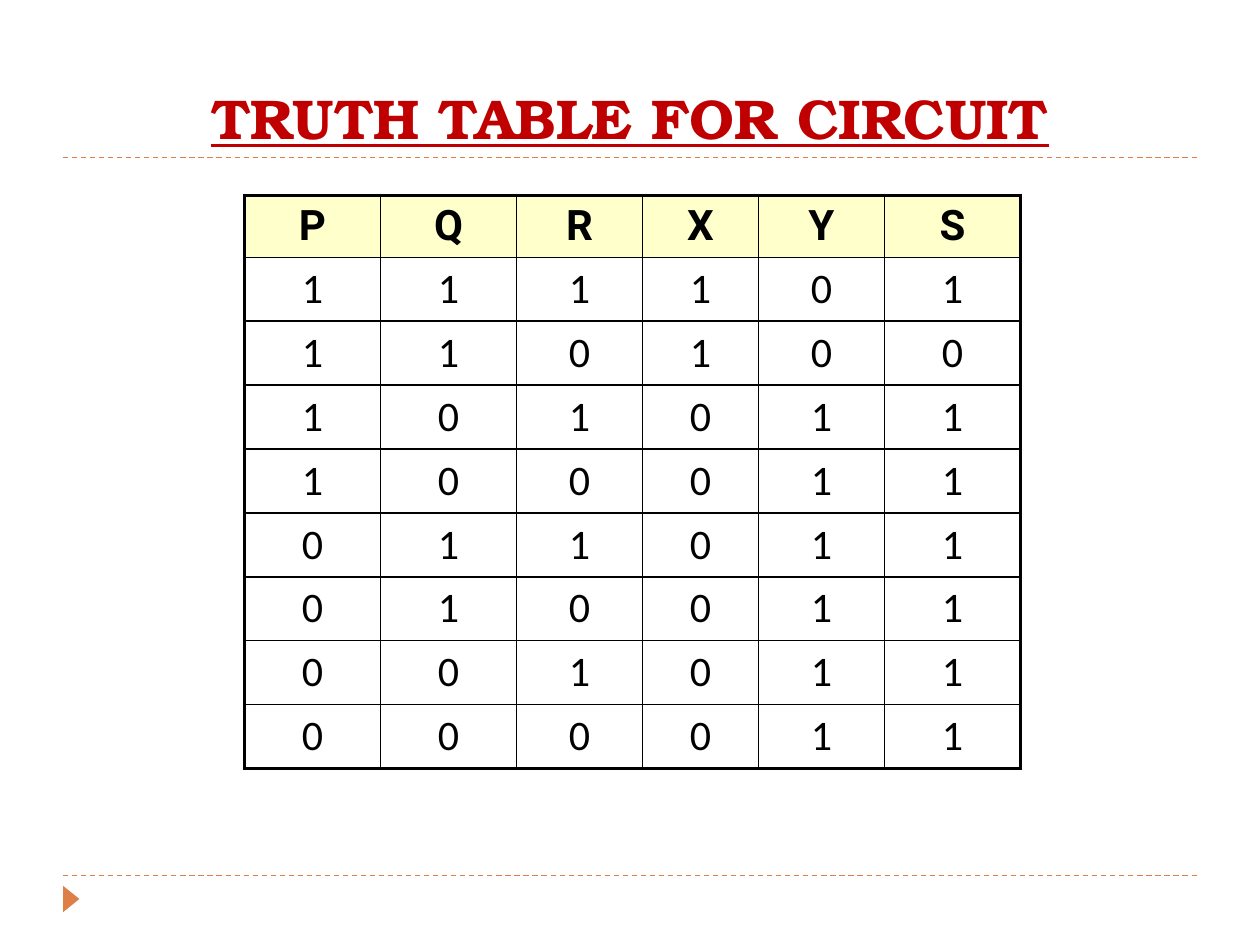
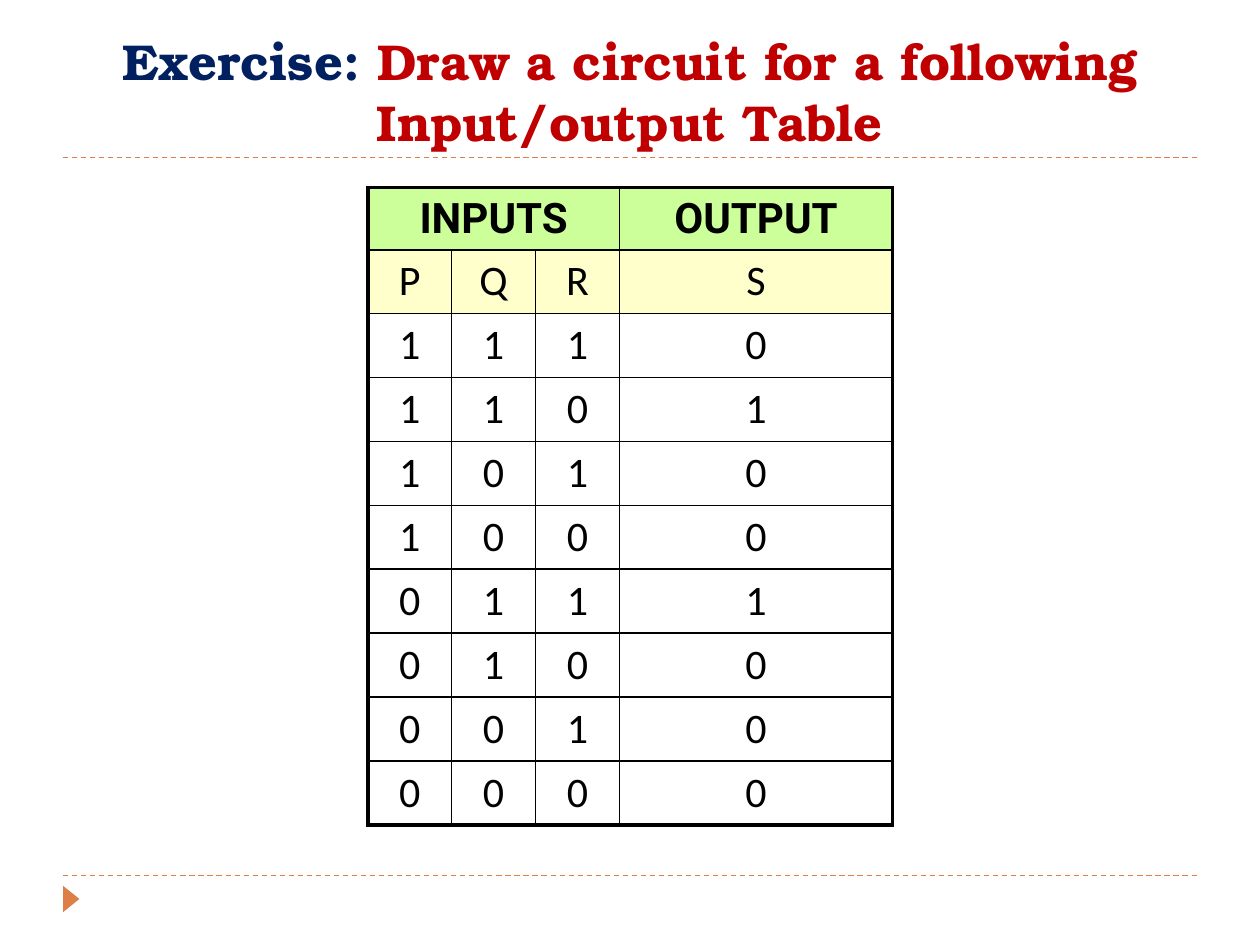
from dataclasses import dataclass
from itertools import product

from lxml.etree import SubElement as sub
from pptx import Presentation
from pptx.dml.color import RGBColor as Rgb
from pptx.enum.dml import MSO_LINE as Dash
from pptx.enum.shapes import MSO_CONNECTOR as Link, MSO_SHAPE as Shape
from pptx.enum.text import MSO_ANCHOR as Anchor, MSO_AUTO_SIZE as Fit, PP_ALIGN as Align
from pptx.oxml.ns import qn
from pptx.util import Inches, Pt

COLS, ROWS = 20, 15


@dataclass(frozen=True)
class Theme:
    red: str = "C00000"
    navy: str = "002060"
    rust: str = "DD8047"
    ink: str = "000000"
    cream: str = "FFFFCC"
    lime: str = "CCFF99"
    serif: str = "TeX Gyre Bonum"
    sans: str = "Roboto"
    body: str = "Calibri"
    large: float = 32
    small: float = 28.8
    cell: float = 24
    after: float = 10
    rule: float = 0.75
    thin: float = 1
    thick: float = 2.25


class Deck:
    def __init__(self, theme):
        self.theme = theme
        self.file = Presentation()
        self.file.slide_width, self.file.slide_height = Inches(10), Inches(7.5)
        self.slide = None

    def x(self, cols):
        return round(self.file.slide_width * cols / COLS)

    def y(self, rows):
        return round(self.file.slide_height * rows / ROWS)

    def box(self, left, top, width, height):
        return self.x(left), self.y(top), self.x(width), self.y(height)

    def start(self, runs, size, under=None):
        self.slide = self.file.slides.add_slide(self.file.slide_layouts[5])
        self.rule(13.9)
        self.rule(2.5)
        self.mark()
        self.title(runs, size, under)

    def rule(self, row):
        line = self.slide.shapes.add_connector(
            Link.STRAIGHT, self.x(1), self.y(row), self.x(19), self.y(row))
        line.line.color.rgb = Rgb.from_string(self.theme.rust)
        line.line.width = Pt(self.theme.rule)
        line.line.dash_style = Dash.DASH
        sub(line._element.spPr, qn("a:effectLst"))

    def mark(self):
        shape = self.slide.shapes.add_shape(
            Shape.ISOSCELES_TRIANGLE, *self.box(0.92, 14.14, 0.42, 0.26))
        shape.rotation = 90
        shape.shadow.inherit = False
        shape.fill.solid()
        shape.fill.fore_color.rgb = Rgb.from_string(self.theme.rust)
        shape.line.fill.background()

    def title(self, runs, size, under):
        head = self.slide.shapes.title
        head.left, head.top, head.width, head.height = self.box(1, 0.34, 18, 2.16)
        frame = head.text_frame
        frame.word_wrap = True
        frame.auto_size = Fit.NONE
        frame.vertical_anchor = Anchor.BOTTOM
        para = frame.paragraphs[0]
        para.alignment = Align.CENTER
        font = para.font
        font.name, font.size = self.theme.serif, Pt(size)
        font.bold, font.underline = True, under
        for text, hue in runs:
            run = para.add_run()
            run.text = text
            run.font.color.rgb = Rgb.from_string(hue)

    def table(self, left, top, widths, rows, fills, spans=()):
        last, end = len(rows) - 1, len(widths) - 1
        height = 0.98
        grid = self.slide.shapes.add_table(
            len(rows), len(widths),
            *self.box(left, top, sum(widths), height * len(rows))).table
        grid.first_row = grid.horz_banding = False
        for col, width in zip(grid.columns, widths):
            col.width = self.x(width)
        for r, row in enumerate(rows):
            grid.rows[r].height = self.y(height)
            for c, text in enumerate(row):
                cell = grid.cell(r, c)
                self.edge(cell, L=c == 0, R=c == end, T=r == 0, B=r == last)
                self.paint(cell, fills[r] if r < len(fills) else None)
                if text is not None:
                    self.label(cell, text, r == 0)
        for r, c, stop in spans:
            grid.cell(r, c).merge(grid.cell(r, stop))

    def edge(self, cell, **sides):
        props = cell._tc.get_or_add_tcPr()
        for side, outer in sides.items():
            width = self.theme.thick if outer else self.theme.thin
            line = sub(props, qn(f"a:ln{side}"), w=str(Pt(width)))
            sub(sub(line, qn("a:solidFill")), qn("a:srgbClr"), val=self.theme.ink)

    def paint(self, cell, hue):
        if hue:
            cell.fill.solid()
            cell.fill.fore_color.rgb = Rgb.from_string(hue)
        else:
            cell.fill.background()

    def label(self, cell, text, head):
        para = cell.text_frame.paragraphs[0]
        para.text = str(text)
        para.alignment = Align.CENTER
        para.space_after = Pt(self.theme.after)
        font = para.font
        font.name = self.theme.sans if head else self.theme.body
        font.size, font.bold = Pt(self.theme.cell), head
        font.color.rgb = Rgb.from_string(self.theme.ink)


def truth(deck):
    look = deck.theme
    deck.start([("TRUTH TABLE FOR CIRCUIT", look.red)], look.large, True)
    rows = [list("PQRXYS")]
    for p, q, r in product((1, 0), repeat=3):
        x = p & q
        y = 1 - x
        rows.append([p, q, r, x, y, r | y])
    deck.table(3.88, 3.1, [2.16, 2.16, 2, 1.84, 2, 2.16], rows, [look.cream])


def task(deck):
    look = deck.theme
    deck.start([("Exercise:", look.navy),
                (" Draw a circuit for a following Input/output Table", look.red)],
               look.small)
    ones = {(1, 1, 0), (0, 1, 1)}
    rows = [["INPUTS", None, None, "OUTPUT"], list("PQRS")]
    rows += [[*bits, int(bits in ones)] for bits in product((1, 0), repeat=3)]
    deck.table(5.84, 2.98, [1.33] * 3 + [4.34], rows,
               [look.lime, look.cream], [(0, 0, 2)])


def main():
    deck = Deck(Theme())
    truth(deck)
    task(deck)
    deck.file.save("out.pptx")


if __name__ == "__main__":
    main()
